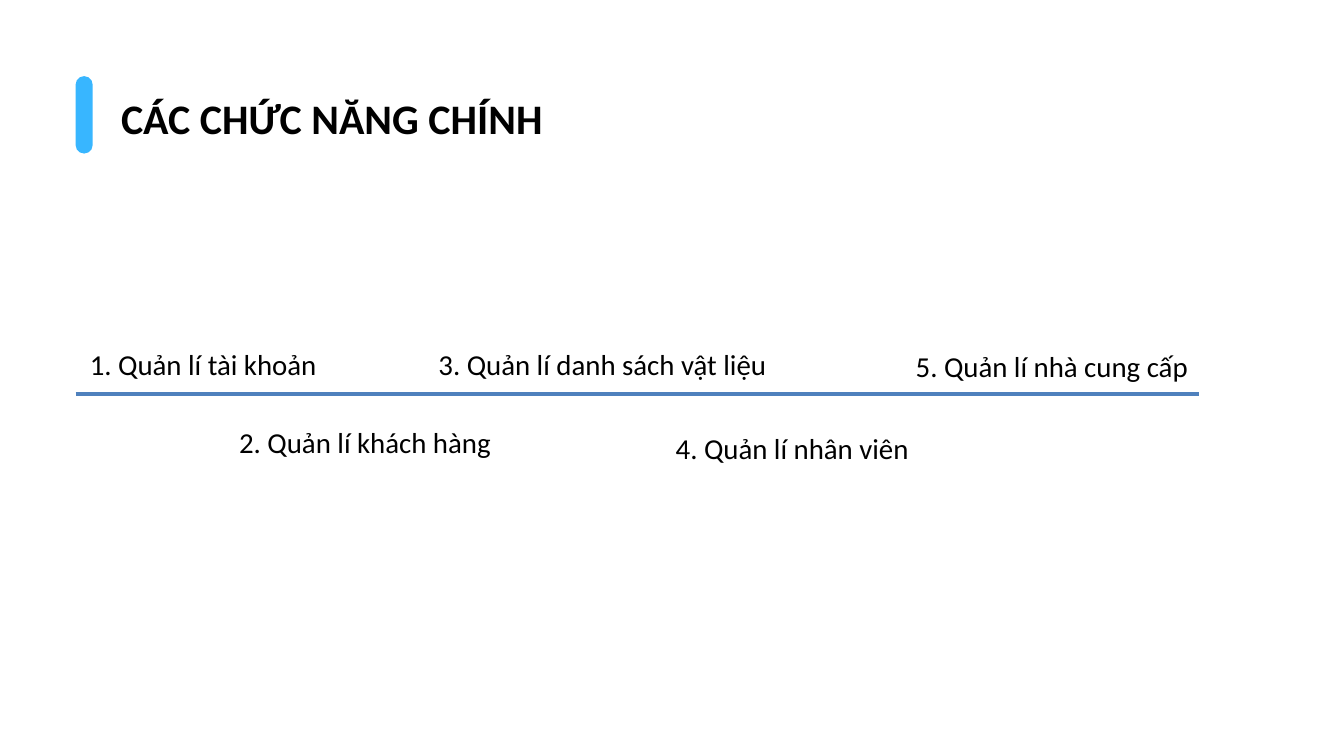
from lxml.etree import SubElement
from pptx import Presentation
from pptx.dml.color import RGBColor
from pptx.enum.shapes import MSO_CONNECTOR as Connector, MSO_SHAPE as Shape
from pptx.enum.text import MSO_ANCHOR as Anchor, MSO_AUTO_SIZE as AutoSize, PP_ALIGN as Align
from pptx.oxml.ns import qn
from pptx.util import Pt

FONT = "Calibri"
LEFT_EDGE = 57.6
LINE_SPACING = 1.4
FUNCTIONS = [
    ("1. Quản lí tài khoản", 68.4, 260, 257.8),
    ("2. Quản lí khách hàng", 182.2, 319, 228.2),
    ("3. Quản lí danh sách vật liệu", 334.1, 260, 280.8),
    ("4. Quản lí nhân viên", 514.8, 324, 248.4),
    ("5. Quản lí nhà cung cấp", 697.7, 261.4, 263.5),
]


def color(value):
    return RGBColor.from_string(value)


def place(shape, left, top, width, height):
    shape.left, shape.top = Pt(left), Pt(top)
    shape.width, shape.height = Pt(width), Pt(height)


def write_text(shape, text, size, bold=False):
    frame = shape.text_frame
    frame.margin_left = frame.margin_top = frame.margin_right = frame.margin_bottom = 0
    frame.word_wrap = True
    frame.auto_size = AutoSize.SHAPE_TO_FIT_TEXT
    frame.vertical_anchor = Anchor.TOP
    frame.text = text
    paragraph = frame.paragraphs[0]
    paragraph.alignment = Align.LEFT
    paragraph.space_before = Pt(0)
    paragraph.line_spacing = Pt(size * LINE_SPACING)
    font = paragraph.font
    font.name, font.size, font.bold = FONT, Pt(size), bold
    font.color.rgb = color("000000")


def add_title(slide, text):
    title = slide.shapes.title
    place(title, 92.2, 64.1, 588.2, 45.4)
    write_text(title, text, 32, bold=True)


def add_title_bar(slide):
    bar = slide.shapes.add_shape(Shape.ROUNDED_RECTANGLE, Pt(LEFT_EDGE), Pt(58), Pt(13), Pt(59))
    bar.adjustments[0] = 0.5
    bar.shadow.inherit = False
    bar.fill.solid()
    bar.fill.fore_color.rgb = color("38B6FF")
    bar.line.fill.background()


def add_timeline(slide):
    top = Pt(300.2)
    line = slide.shapes.add_connector(Connector.STRAIGHT, Pt(LEFT_EDGE), top, Pt(913.7), top)
    line.line.color.rgb = color("4F81BD")
    line.line.width = Pt(3)
    SubElement(line._element.spPr, qn("a:effectLst"))


def add_label(slide, text, left, top, width):
    label = slide.shapes.add_textbox(Pt(left), Pt(top), Pt(width), Pt(30.8))
    write_text(label, text, 22)


def main():
    presentation = Presentation()
    presentation.slide_width, presentation.slide_height = Pt(1024), Pt(576)
    slide = presentation.slides.add_slide(presentation.slide_layouts[5])
    add_title(slide, "CÁC CHỨC NĂNG CHÍNH")
    add_title_bar(slide)
    add_timeline(slide)
    for function in FUNCTIONS:
        add_label(slide, *function)
    presentation.save("out.pptx")


if __name__ == "__main__":
    main()
